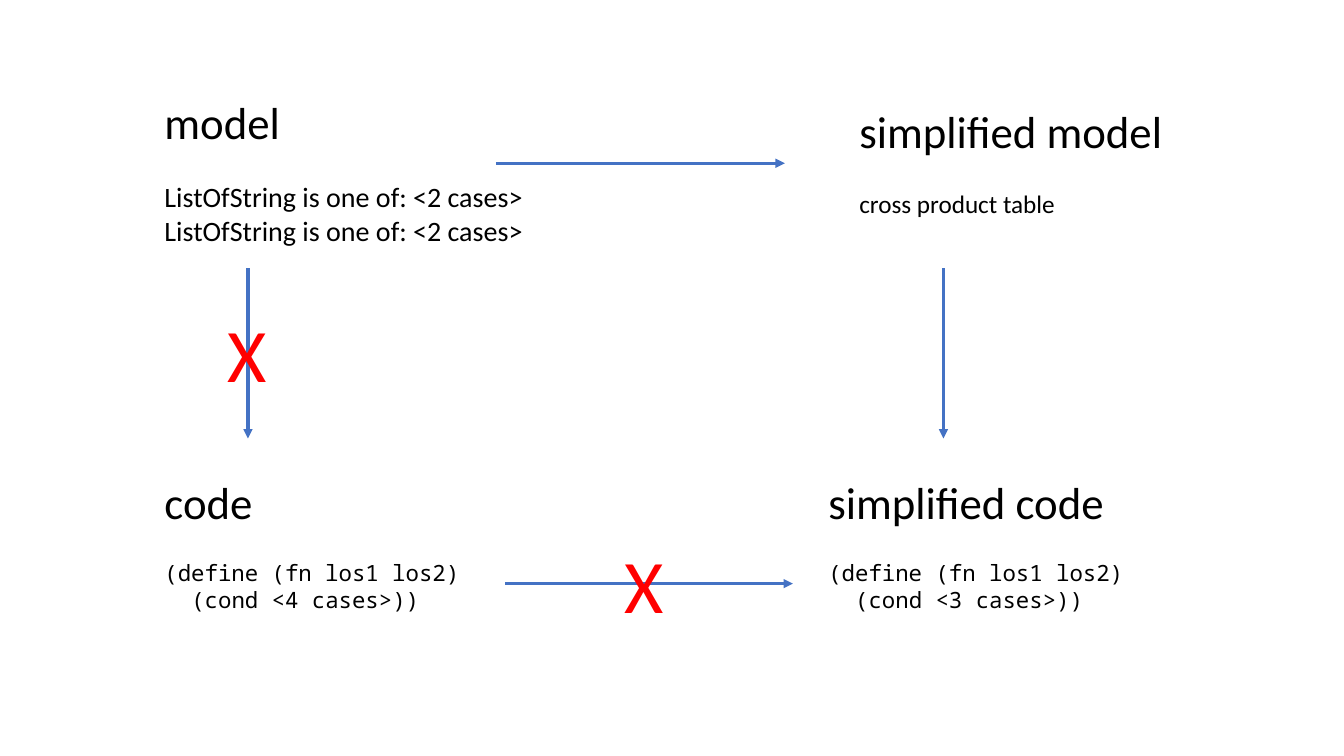
from dataclasses import dataclass
from lxml.etree import SubElement
from pptx import Presentation
from pptx.dml.color import RGBColor
from pptx.enum.shapes import MSO_CONNECTOR
from pptx.oxml.ns import qn
from pptx.slide import Slide
from pptx.util import Inches, Pt

SLIDE_WIDTH, SLIDE_HEIGHT = Inches(13.333), Inches(7.5)


def color(value):
    return RGBColor.from_string(value)


@dataclass
class DiagramSlide:
    """Draws diagram parts on a grid of 100 columns by 100 rows."""

    slide: Slide
    font: str = "Calibri"
    code_font: str = "Noto Sans Mono"
    text_color: str = "000000"
    arrow_color: str = "4472C4"
    cross_color: str = "FF0000"
    heading_size: int = 32
    heading_gap: int = 22
    code_size: int = 16
    code_indent: float = 19.2

    def columns(self, count):
        return round(SLIDE_WIDTH * count / 100)

    def rows(self, count):
        return round(SLIDE_HEIGHT * count / 100)

    def text_box(self, left, top, width, height, lines):
        box = self.slide.shapes.add_textbox(
            self.columns(left), self.rows(top), self.columns(width), self.rows(height)
        )
        frame = box.text_frame
        frame.word_wrap = True
        frame.text = "\n".join(text for text, *_ in lines)
        for paragraph, (_, size, font, fill) in zip(frame.paragraphs, lines):
            run_font = paragraph.runs[0].font
            run_font.size = Pt(size)
            run_font.name = font
            run_font.color.rgb = color(fill)
        return frame.paragraphs

    def topic(self, left, top, width, height, heading, details, size, font=None):
        lines = [(heading, self.heading_size, self.font, self.text_color)]
        lines += [(detail, size, font or self.font, self.text_color) for detail in details]
        paragraphs = self.text_box(left, top, width, height, lines)
        paragraphs[1].space_before = Pt(self.heading_gap)
        return paragraphs

    def code_topic(self, left, width, heading, cases):
        details = ["(define (fn los1 los2)", f"(cond <{cases} cases>))"]
        paragraphs = self.topic(
            left, 62.1, width, 19.7, heading, details, self.code_size, self.code_font
        )
        paragraphs[-1]._p.get_or_add_pPr().set("marL", str(Pt(self.code_indent)))

    def cross(self, left, top):
        self.text_box(left, top, 9.45, 13.5, [("X", 54, self.font, self.cross_color)])

    def arrow(self, start_column, start_row, end_column, end_row):
        arrow = self.slide.shapes.add_connector(
            MSO_CONNECTOR.STRAIGHT,
            self.columns(start_column),
            self.rows(start_row),
            self.columns(end_column),
            self.rows(end_row),
        )
        arrow.line.color.rgb = color(self.arrow_color)
        arrow.line.width = Pt(2.25)
        SubElement(arrow.line._get_or_add_ln(), qn("a:tailEnd"), type="triangle")
        SubElement(arrow._element.spPr, qn("a:effectLst"))


def main():
    presentation = Presentation()
    presentation.slide_width, presentation.slide_height = SLIDE_WIDTH, SLIDE_HEIGHT
    diagram = DiagramSlide(presentation.slides.add_slide(presentation.slide_layouts[6]))

    for column in (18.45, 70.2):
        diagram.arrow(column, 35.5, column, 58)
    diagram.arrow(36.9, 21.6, 58.4, 21.6)
    diagram.arrow(37.6, 77.2, 59, 77.2)

    list_cases = ["ListOfString is one of: <2 cases>"] * 2
    diagram.topic(11.5, 11.9, 28.2, 26, "model", list_cases, 20)
    diagram.topic(63.2, 13.1, 28.95, 16.7, "simplified model", ["cross product table"], 18)
    diagram.code_topic(11.5, 48.9, "code", 4)
    diagram.code_topic(60.9, 29.5, "simplified code", 3)

    diagram.cross(16.2, 39.9)
    diagram.cross(45.75, 70.5)
    presentation.save("out.pptx")


if __name__ == "__main__":
    main()
